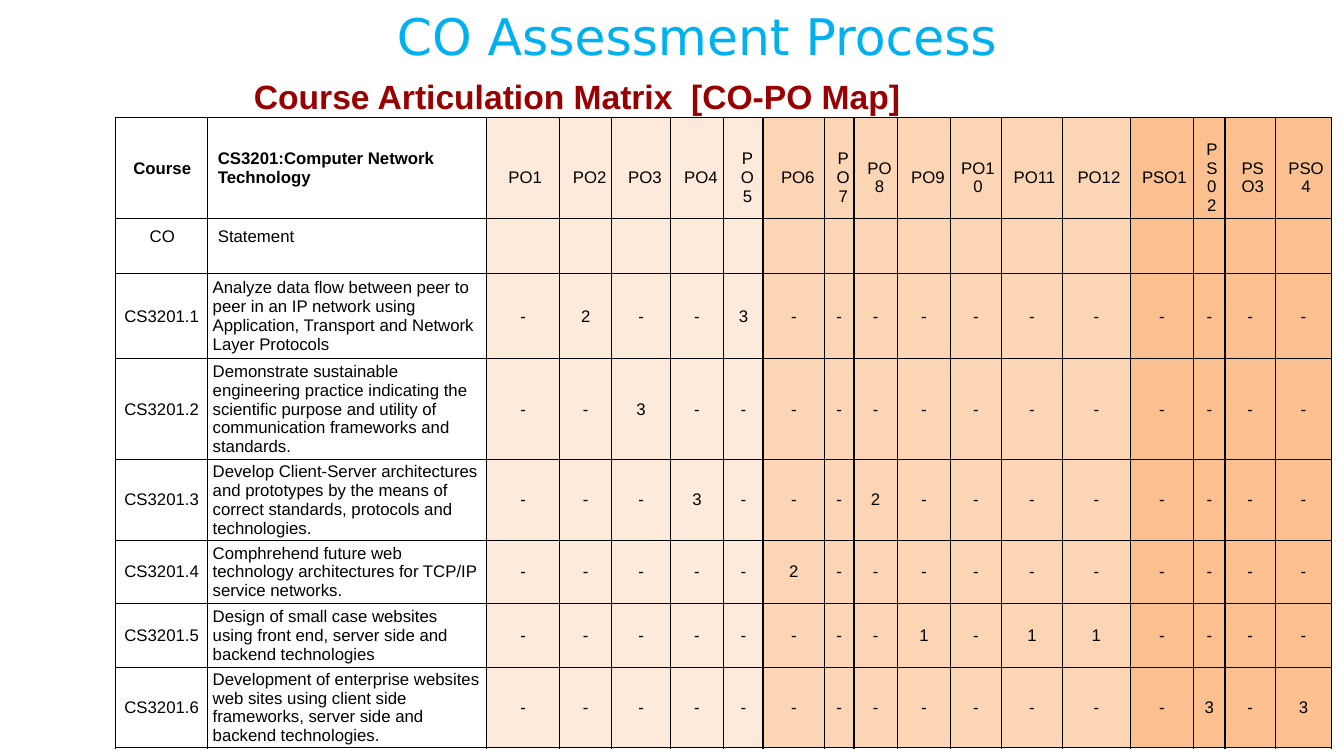
from lxml import etree
from pptx import Presentation
from pptx.dml.color import RGBColor
from pptx.enum.text import MSO_ANCHOR as ANCHOR, PP_ALIGN as ALIGN
from pptx.oxml.ns import qn
from pptx.util import Cm, Pt

SKY = RGBColor(0x00, 0xB0, 0xF0)
MAROON = RGBColor(0x99, 0x00, 0x00)
BLACK = RGBColor(0x00, 0x00, 0x00)
PEACH = RGBColor(0xFD, 0xEA, 0xDA)
APRICOT = RGBColor(0xFC, 0xD5, 0xB5)
ORANGE = RGBColor(0xFA, 0xC0, 0x90)

SIDE_MARGIN = 0.13
HEADER_DROP = 0.47

OUTCOMES = [
    ("PO1", 1.83, 0.1, PEACH),
    ("PO2", 1.32, 0.2, PEACH),
    ("PO3", 1.47, 0.2, PEACH),
    ("PO4", 1.35, 0.2, PEACH),
    ("PO5", 0.99, 0.2, PEACH),
    ("PO6", 1.55, 0.2, APRICOT),
    ("PO7", 0.74, 0.2, APRICOT),
    ("PO8", 1.09, 0.2, APRICOT),
    ("PO9", 1.35, 0.2, APRICOT),
    ("PO10", 1.27, 0.1, APRICOT),
    ("PO11", 1.55, 0.13, APRICOT),
    ("PO12", 1.7, 0.13, APRICOT),
    ("PSO1", 1.6, 0.13, ORANGE),
    ("PS02", 0.79, 0.13, ORANGE),
    ("PSO3", 1.27, 0.13, ORANGE),
    ("PSO4", 1.42, 0.13, ORANGE),
]

COURSE_OUTCOMES = [
    ("CS3201.1", 2.14, "Analyze data flow between peer to peer in an IP network using "
     "Application, Transport and Network Layer Protocols", {"PO2": 2, "PO5": 3}),
    ("CS3201.2", 2.53, "Demonstrate sustainable engineering practice indicating the scientific "
     "purpose and utility of communication frameworks and standards.", {"PO3": 3}),
    ("CS3201.3", 2.03, "Develop Client-Server architectures and prototypes by the means of "
     "correct standards, protocols and technologies.", {"PO4": 3, "PO8": 2}),
    ("CS3201.4", 1.6, "Comphrehend future web technology architectures for TCP/IP service "
     "networks.", {"PO6": 2}),
    ("CS3201.5", 1.6, "Design of small case websites using front end, server side and backend "
     "technologies", {"PO9": 1, "PO11": 1, "PO12": 1}),
    ("CS3201.6", 2.03, "Development of enterprise websites web sites using client side "
     "frameworks, server side and backend technologies.", {"PS02": 3, "PSO4": 3}),
]


def add_run(p, text, size, font, color, bold=False):
    r = p.add_run()
    r.text = text
    r.font.size = Pt(size)
    r.font.name = font
    r.font.color.rgb = color
    r.font.bold = bold


def add_heading(s, box, text, size, font, color, align, anchor, bold=False):
    tf = s.shapes.add_textbox(*map(Cm, box)).text_frame
    tf.word_wrap = True
    tf.vertical_anchor = anchor
    p = tf.paragraphs[0]
    p.alignment = align
    add_run(p, text, size, font, color, bold)


def set_borders(cell):
    tc_pr = cell._tc.get_or_add_tcPr()
    for position, side in enumerate(("lnL", "lnR", "lnT", "lnB")):
        ln = etree.Element(qn("a:" + side), w=str(Pt(1)))
        fill = etree.SubElement(ln, qn("a:solidFill"))
        etree.SubElement(fill, qn("a:srgbClr"), val=str(BLACK))
        tc_pr.insert(position, ln)


def style_cell(cell, fill=None):
    cell.margin_left = cell.margin_right = Cm(SIDE_MARGIN)
    cell.margin_top = cell.margin_bottom = 0
    cell.vertical_anchor = ANCHOR.MIDDLE
    if fill is None:
        cell.fill.background()
    else:
        cell.fill.solid()
        cell.fill.fore_color.rgb = fill
    set_borders(cell)


def write_cell(cell, text, align=ALIGN.CENTER, indent=0, bold=False):
    p = cell.text_frame.paragraphs[0]
    p.alignment = align
    p._p.get_or_add_pPr().set("marL", str(Cm(indent)))
    add_run(p, text, 12, "Arial", BLACK, bold)


def add_matrix(s, left, top):
    widths = [2.31, 7.04] + [width for _, width, _, _ in OUTCOMES]
    heights = [2.54, 1.39] + [height for _, height, _, _ in COURSE_OUTCOMES]
    frame = s.shapes.add_table(len(heights), len(widths), Cm(left), Cm(top),
                               Cm(sum(widths)), Cm(sum(heights)))
    table = frame.table
    table.first_row = table.horz_banding = False
    for column, width in zip(table.columns, widths):
        column.width = Cm(width)
    for row, height in zip(table.rows, heights):
        row.height = Cm(height)

    fills = [None, None] + [fill for _, _, _, fill in OUTCOMES]
    for row in table.rows:
        for cell, fill in zip(row.cells, fills):
            style_cell(cell, fill)

    labels = [("Course", "CS3201:Computer Network Technology", True), ("CO", "Statement", False)]
    for i, (code, statement, bold) in enumerate(labels):
        write_cell(table.cell(i, 0), code, indent=0.03, bold=bold)
        write_cell(table.cell(i, 1), statement, ALIGN.LEFT, 0.13, bold)
    for j in (0, 1):
        table.cell(1, j).margin_bottom = Cm(HEADER_DROP)

    for j, (name, _, indent, _) in enumerate(OUTCOMES, 2):
        cell = table.cell(0, j)
        cell.margin_top = Cm(HEADER_DROP)
        write_cell(cell, name, indent=indent)

    for i, (code, _, statement, levels) in enumerate(COURSE_OUTCOMES, 2):
        write_cell(table.cell(i, 0), code)
        write_cell(table.cell(i, 1), statement, ALIGN.LEFT)
        for j, (name, _, _, _) in enumerate(OUTCOMES, 2):
            write_cell(table.cell(i, j), str(levels.get(name, "-")))


def main():
    prs = Presentation()
    prs.slide_width, prs.slide_height = Cm(33.87), Cm(19.05)
    s = prs.slides.add_slide(prs.slide_layouts[6])
    add_heading(s, (5.92, 0, 23.7, 1.8), "CO Assessment Process ", 36, "DejaVu Sans", SKY,
                ALIGN.CENTER, ANCHOR.TOP)
    add_heading(s, (6.15, 1.78, 23.06, 1.27), "Course Articulation Matrix  [CO-PO Map]", 24,
                "Arial", MAROON, ALIGN.LEFT, ANCHOR.MIDDLE, bold=True)
    add_matrix(s, 2.92, 2.97)
    prs.save("out.pptx")


if __name__ == "__main__":
    main()
